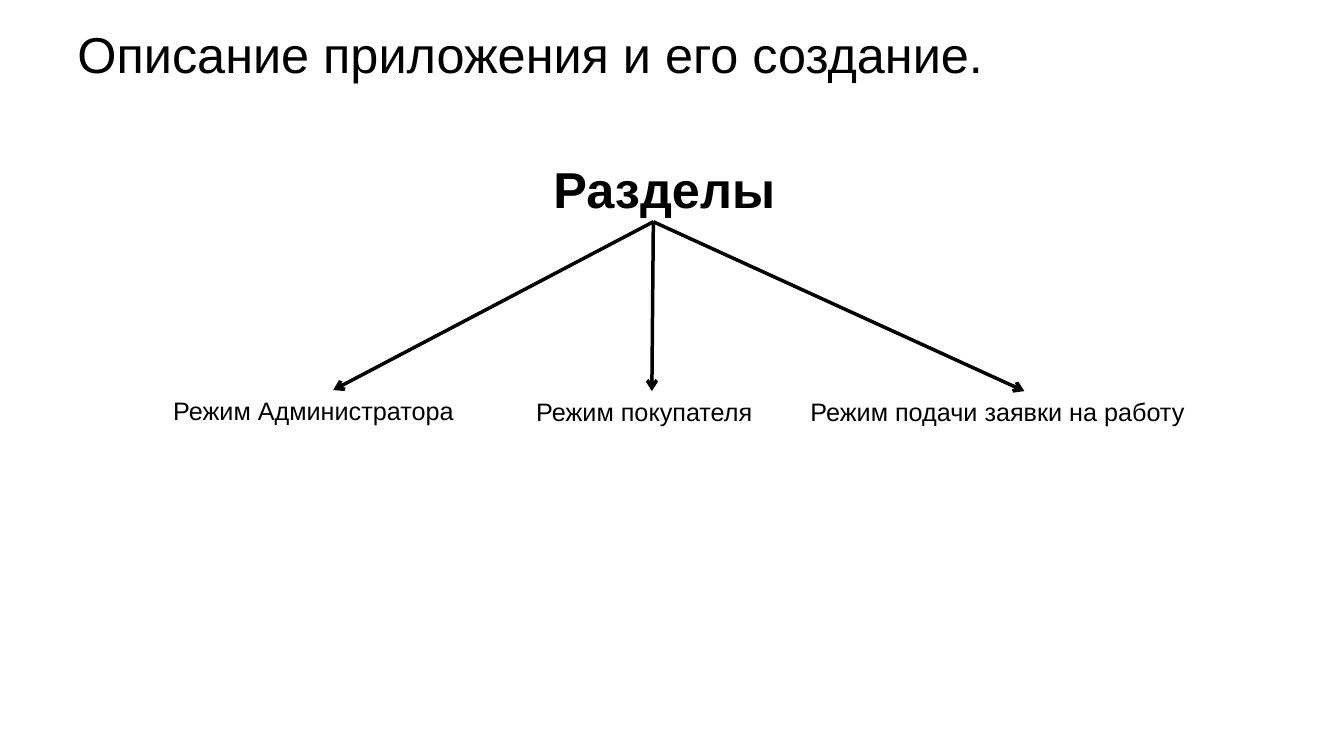
from lxml import etree
from pptx import Presentation
from pptx import util as u
from pptx.dml.color import RGBColor
from pptx.enum import shapes, text
from pptx.oxml.ns import qn

PX = 9144  # EMU in one px, 100 px to the inch
BLACK = RGBColor(0, 0, 0)
WHITE = RGBColor(255, 255, 255)


class Page:
    def __init__(self, deck, font="Arial", color=BLACK):
        self.slide = deck.slides.add_slide(deck.slide_layouts[6])
        self.font = font
        self.color = color
        fill = self.slide.background.fill
        fill.solid()
        fill.fore_color.rgb = WHITE

    def label(self, words, box, size=18, bold=False, anchor=text.MSO_ANCHOR.TOP):
        shape = self.slide.shapes.add_textbox(*(n * PX for n in box))
        frame = shape.text_frame
        frame.word_wrap = True
        frame.vertical_anchor = anchor
        frame.text = words
        font = frame.paragraphs[0].runs[0].font
        font.name = self.font
        font.size = u.Pt(size)
        font.bold = bold
        font.color.rgb = self.color
        return shape

    def arrow(self, start, target):
        """Draw an arrow from a point to the top middle of the target box."""
        x, y = (n * PX for n in start)
        line = self.slide.shapes.add_connector(
            shapes.MSO_CONNECTOR.STRAIGHT, x, y, x, y)
        line.end_connect(target, 0)
        line.line.color.rgb = self.color
        line.line.width = u.Pt(2.5)
        props = line.line._get_or_add_ln()
        etree.SubElement(props, qn("a:tailEnd"), type="arrow")
        etree.SubElement(props.getparent(), qn("a:effectLst"))


def main():
    deck = Presentation()
    deck.slide_width = 1333 * PX
    deck.slide_height = 750 * PX
    page = Page(deck)

    page.label("Описание приложения и его создание.", (67, 21, 1200, 64),
               size=36, anchor=text.MSO_ANCHOR.MIDDLE)
    page.label("Разделы", (539, 152, 266, 62), size=36, bold=True)

    modes = [
        ("Режим Администратора", (162, 387, 337, 41)),
        ("Режим покупателя", (522, 388, 249, 40)),
        ("Режим подачи заявки на работу", (794, 388, 444, 40)),
    ]
    for words, box in modes:
        page.arrow((648, 220), page.label(words, box))

    deck.save("out.pptx")


if __name__ == "__main__":
    main()
